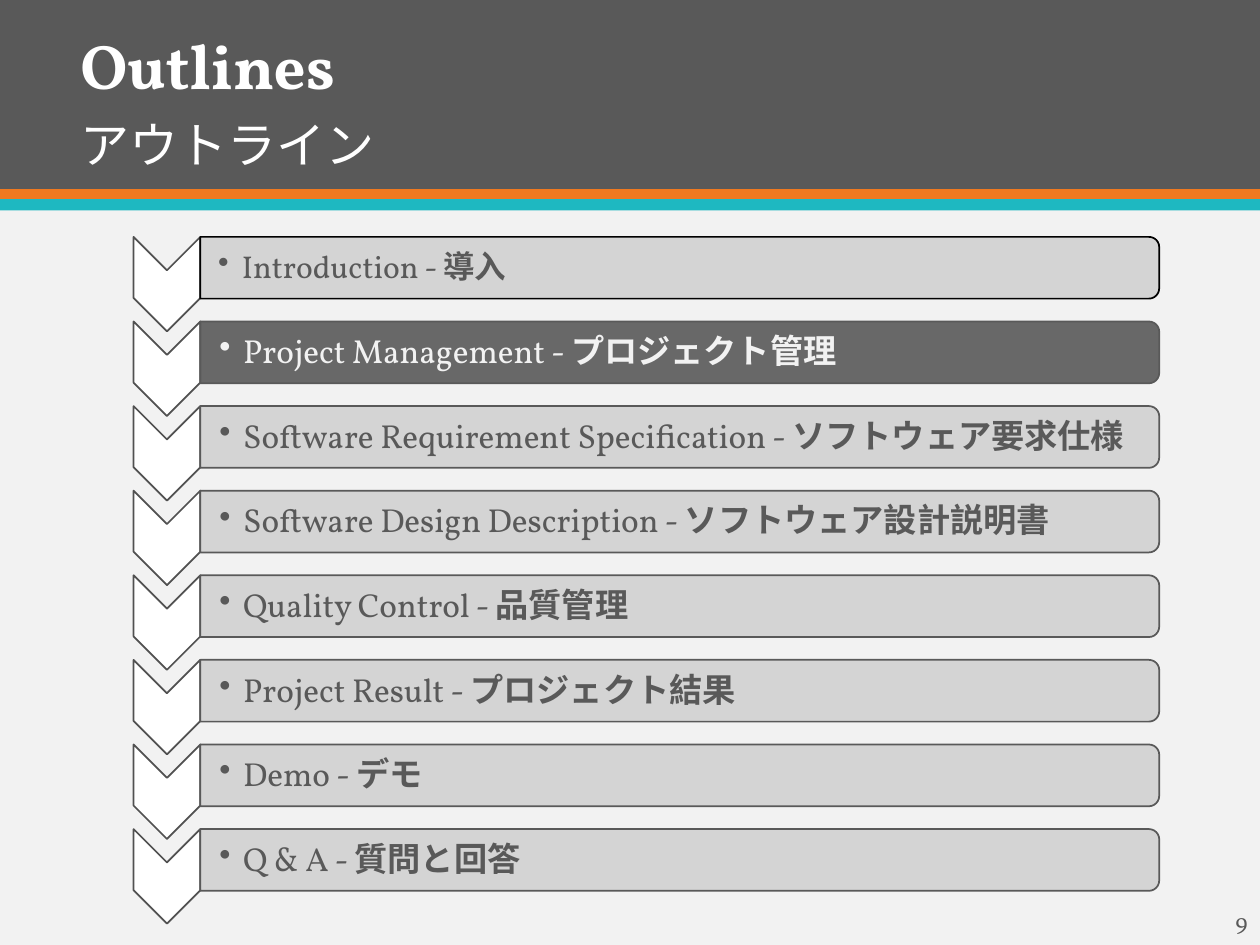
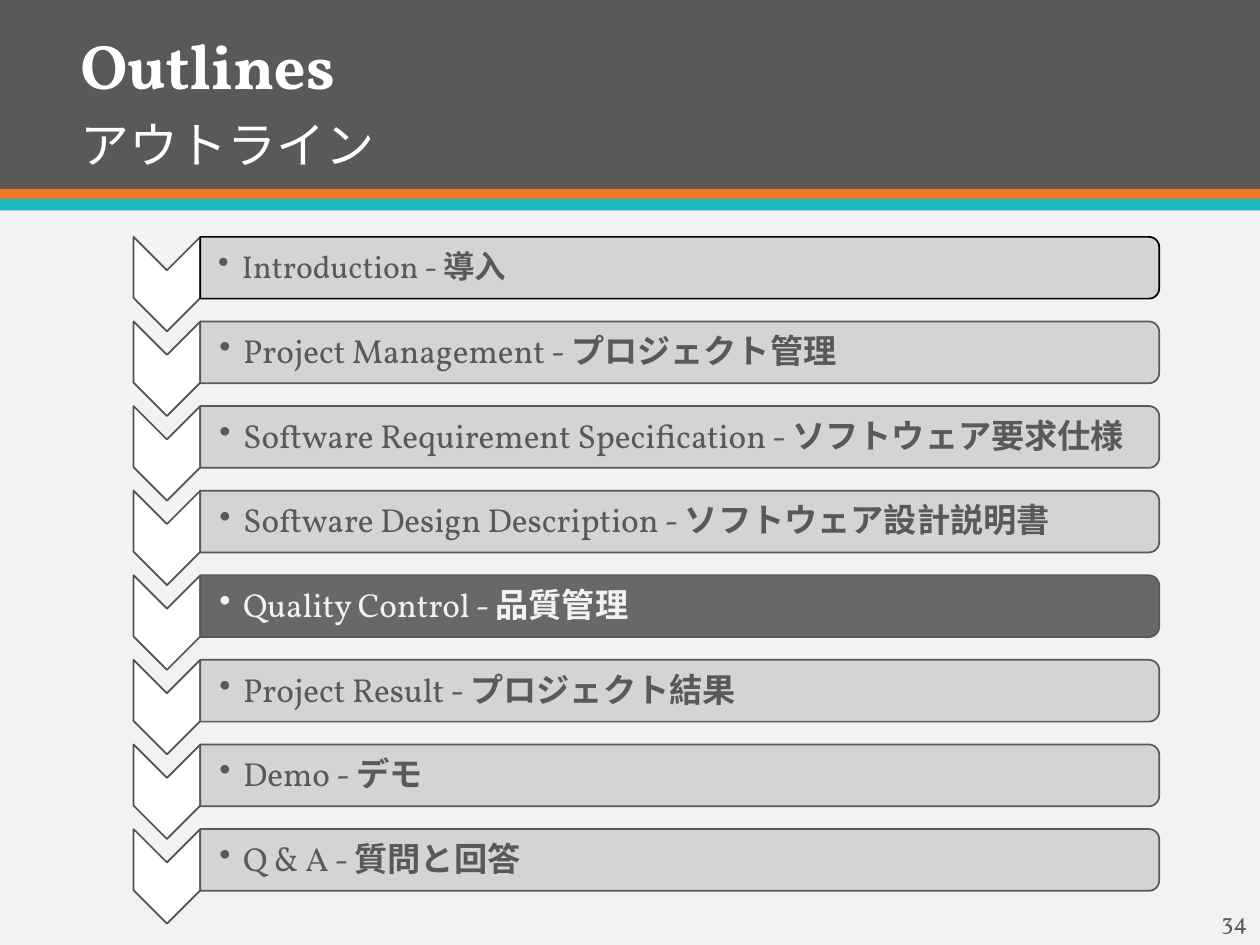
from pptx import Presentation
from pptx.dml.color import RGBColor
from pptx.enum.shapes import MSO_SHAPE
from pptx.enum.text import MSO_ANCHOR, PP_ALIGN
from pptx.oxml.ns import qn
from pptx.util import Inches, Pt
from lxml import etree

RECTANGLE, CHEVRON = MSO_SHAPE.RECTANGLE, MSO_SHAPE.CHEVRON
ROUND_TOP = MSO_SHAPE.ROUND_2_SAME_RECTANGLE
TOP, MIDDLE, BOTTOM = MSO_ANCHOR.TOP, MSO_ANCHOR.MIDDLE, MSO_ANCHOR.BOTTOM
LEFT, RIGHT = PP_ALIGN.LEFT, PP_ALIGN.RIGHT

FONT = "Vollkorn"
COLORS = {
    "page": "F2F2F2",
    "dark": "595959",
    "orange": "EF7920",
    "teal": "1EB8C1",
    "white": "FFFFFF",
    "bar": "D1D1D1",
    "chevron_line": "515151",
    "black": "000000",
}
TOPICS = [
    ("Introduction", "導入"),
    ("Project Management", "プロジェクト管理"),
    ("Software Requirement Specification", "ソフトウェア要求仕様"),
    ("Software Design Description", "ソフトウェア設計説明書"),
    ("Quality Control", "品質管理"),
    ("Project Result", "プロジェクト結果"),
    ("Demo", "デモ"),
    ("Q & A", "質問と回答"),
]
# Page number and highlighted topic of each slide
SLIDES = [(9, "Project Management"), (34, "Quality Control")]


def rgb(name):
    return RGBColor.from_string(COLORS[name])


def add_block(page, kind, box, fill, line=None, turned=False):
    """Draw a shape that covers box; a turned shape is rotated by 90 degrees."""
    left, top, width, height = box
    if turned:
        left, top = left + (width - height) / 2, top + (height - width) / 2
        width, height = height, width
    shape = page.shapes.add_shape(
        kind, Inches(left), Inches(top), Inches(width), Inches(height))
    shape.rotation = 90 if turned else 0
    shape.shadow.inherit = False
    shape.fill.solid()
    shape.fill.fore_color.rgb = rgb(fill)
    if line:
        shape.line.color.rgb = rgb(line)
        shape.line.width = Pt(1)
    else:
        shape.line.fill.background()
    return shape


def add_text(page, box, spans, size, color, anchor=TOP, align=LEFT, wrap=True):
    """Write one paragraph from (text, bold) spans and return its frame."""
    frame = page.shapes.add_textbox(*map(Inches, box)).text_frame
    frame.word_wrap = wrap
    frame.vertical_anchor = anchor
    para = frame.paragraphs[0]
    para.alignment = align
    for text, bold in spans:
        span = para.add_run()
        span.text = text
        span.font.name = FONT
        span.font.size = Pt(size)
        span.font.bold = bold
        span.font.color.rgb = rgb(color)
    return frame


def set_opacity(shape, percent):
    color = shape.fill._xPr.find(qn("a:solidFill"))[0]
    etree.SubElement(color, qn("a:alpha"), val=str(percent * 1000))


def set_bullet(para, indent):
    properties = para._p.get_or_add_pPr()
    properties.set("marL", str(Inches(indent)))
    properties.set("indent", str(-Inches(indent)))
    etree.SubElement(properties, qn("a:buChar"), char="•")


def draw_header(page, box):
    left, top, width, height = box
    # Title band with two stripes under it
    add_block(page, RECTANGLE, box, "dark")
    for offset, color in ((0, "orange"), (0.08, "teal")):
        add_block(page, RECTANGLE, (left, top + height + offset, width, 0.09), color)
    # English title over its Japanese subtitle
    subtitle = add_text(page, (left + 0.54, top + 0.72, 7.88, 0.71),
                        [("アウトライン", False)], 28, "white", BOTTOM)
    subtitle.paragraphs[0].line_spacing = 0.9
    add_text(page, (left + 0.54, top + 0.16, 2.22, 0.71),
             [("Outlines", True)], 36, "white", wrap=False)


def draw_topic(page, box, topic, first, current):
    left, top, width, height = box
    arrow_width, arrow_height = 0.53, 0.75
    bar_left, bar_width = left + arrow_width, width - arrow_width
    # Downward chevron
    add_block(page, CHEVRON, (left, top, arrow_width, arrow_height),
              "white", "chevron_line", turned=True)
    # Bar with rounded right end
    bar = add_block(page, ROUND_TOP, (bar_left, top, bar_width, height),
                    "dark" if current else "bar",
                    "black" if first else "dark", turned=True)
    set_opacity(bar, 90)
    # Bulleted label
    english, japanese = topic
    label = add_text(page, (bar_left, top + 0.03, bar_width - 0.03, height - 0.05),
                     [(f"{english} - ", False), (japanese, True)],
                     18 if first else 19, "page" if current else "dark", MIDDLE)
    label.margin_left = Inches(0.14 if first else 0.15)
    label.margin_top = label.margin_right = label.margin_bottom = Inches(0.01)
    label.paragraphs[0].line_spacing = 0.9
    set_bullet(label.paragraphs[0], 0.19)


def draw_outline(page, box, current_topic):
    left, top, width, height = box
    bar_height, last_arrow = 0.49, 0.75
    pitch = (height - last_arrow) / (len(TOPICS) - 1)
    for index, topic in enumerate(TOPICS):
        draw_topic(page, (left, top + index * pitch, width, bar_height), topic,
                   first=index == 0, current=topic[0] == current_topic)


def draw_page_number(page, box, number):
    add_text(page, box, [(str(number), False)], 13.5, "dark",
             align=RIGHT, wrap=False)


def build_outline_slide(deck, number, current_topic):
    page = deck.slides.add_slide(deck.slide_layouts[6])
    page.background.fill.solid()
    page.background.fill.fore_color.rgb = rgb("page")
    draw_header(page, (0, 0, 10, 1.5))
    draw_outline(page, (1.06, 1.88, 8.14, 5.45), current_topic)
    draw_page_number(page, (9.5, 7.15, 0.5, 0.3), number)


def main():
    deck = Presentation()
    deck.slide_width, deck.slide_height = Inches(10), Inches(7.5)
    for number, current_topic in SLIDES:
        build_outline_slide(deck, number, current_topic)
    deck.save("out.pptx")


if __name__ == "__main__":
    main()
